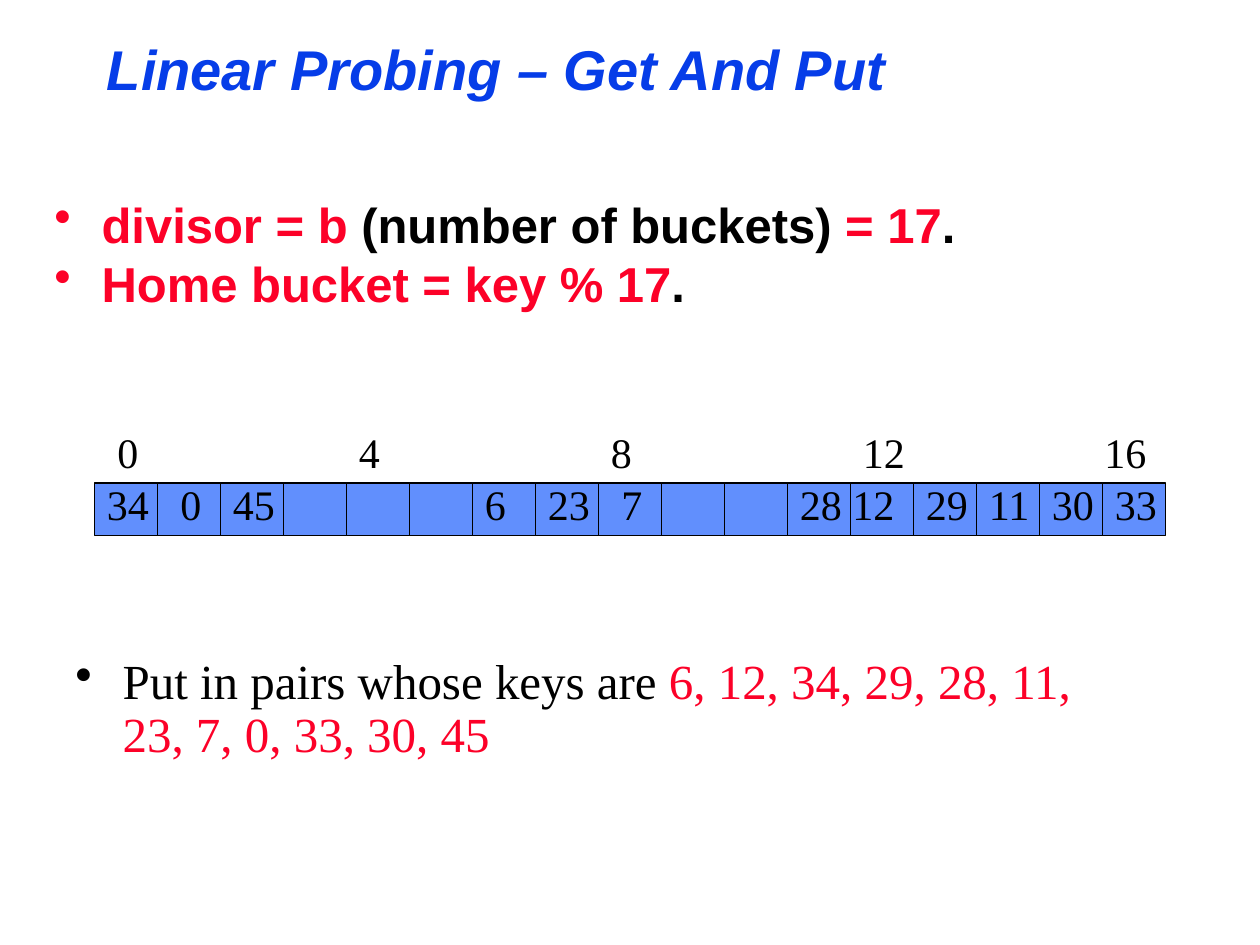
"""Build the linear probing slide: hash table buckets, indices and keys."""
from lxml import etree
from pptx import Presentation
from pptx.dml.color import RGBColor
from pptx.enum.shapes import MSO_SHAPE
from pptx.enum.text import MSO_ANCHOR, MSO_AUTO_SIZE
from pptx.oxml.ns import qn
from pptx.util import Pt

PX = 9525
BLACK = RGBColor(0x00, 0x00, 0x00)
RED = RGBColor(0xFC, 0x01, 0x28)
BLUE = RGBColor(0x06, 0x3D, 0xE8)
CELL_FILL = RGBColor(0x61, 0x8F, 0xFD)
RECT = MSO_SHAPE.RECTANGLE
TOP, MIDDLE = MSO_ANCHOR.TOP, MSO_ANCHOR.MIDDLE
NO_FIT, GROW = MSO_AUTO_SIZE.NONE, MSO_AUTO_SIZE.SHAPE_TO_FIT_TEXT


def add_text(shapes, box, paragraphs, font="Times New Roman", size=24, bold=False,
             italic=False, anchor=TOP, fit=NO_FIT, before=0, spacing=None, bullet=None):
    tf = shapes.add_textbox(*(v * PX for v in box)).text_frame
    tf.word_wrap = True
    tf.auto_size = fit
    tf.vertical_anchor = anchor
    for i, runs in enumerate(paragraphs):
        p = tf.add_paragraph() if i else tf.paragraphs[0]
        p.space_before = Pt(before)
        if spacing:
            p.line_spacing = spacing
        if bullet:
            pPr = p._p.get_or_add_pPr()
            pPr.set("marL", str(36 * PX))
            pPr.set("indent", str(-36 * PX))
            color = etree.SubElement(pPr, qn("a:buClr"))
            etree.SubElement(color, qn("a:srgbClr"), val=str(bullet))
            etree.SubElement(pPr, qn("a:buChar"), char="•")
        for text, rgb in runs:
            r = p.add_run()
            r.text = text
            r.font.name = font
            r.font.size = Pt(size)
            r.font.bold = bold
            r.font.italic = italic
            r.font.color.rgb = rgb


prs = Presentation()
prs.slide_width = 960 * PX
prs.slide_height = 720 * PX
s = prs.slides.add_slide(prs.slide_layouts[6])

add_text(s.shapes, (72, 16, 816, 72), [[("Linear Probing – Get And Put", BLUE)]],
         font="Arial", size=32, bold=True, italic=True, anchor=MIDDLE)
add_text(s.shapes, (32, 152, 816, 96),
         [[("divisor = b ", RED), ("(number of buckets)", BLACK), (" = 17", RED), (".", BLACK)],
          [("Home bucket = key % 17", RED), (".", BLACK)]],
         font="Arial", size=28, bold=True, before=7, spacing=0.8, bullet=RED)

LEFT, STEP = 72, 48
table = s.shapes.add_group_shape()
for bucket in range(17):
    sp = table.shapes.add_shape(RECT, (LEFT + STEP * bucket) * PX, 368 * PX, STEP * PX, 40 * PX)
    sp.shadow.inherit = False
    sp.fill.solid()
    sp.fill.fore_color.rgb = CELL_FILL
    sp.line.color.rgb = BLACK
    sp.line.width = Pt(1)

indices = [(0, 8, 48), (4, 0, 48), (8, 0, 48), (12, 0, 56), (16, -8, 56)]
for bucket, shift, width in indices:
    add_text(table.shapes, (LEFT + STEP * bucket + shift, 320, width, 48),
             [[(str(bucket), BLACK)]], fit=GROW, before=15)

add_text(s.shapes, (48, 496, 816, 96),
         [[("Put in pairs whose keys are ", BLACK),
           ("6, 12, 34, 29, 28, 11, 23, 7, 0, 33, 30, 45", RED)]],
         size=28, before=7, spacing=0.9, bullet=BLACK)

keys = [(6, 6, 0, 40), (12, 12, -8, 56), (13, 29, 0, 56), (0, 34, 0, 64),
        (11, 28, 0, 56), (14, 11, 0, 56), (7, 23, 0, 64), (8, 7, 8, 40),
        (1, 0, 8, 40), (16, 33, 0, 56), (15, 30, 0, 56), (2, 45, 0, 80)]
for bucket, key, shift, width in keys:
    add_text(s.shapes, (LEFT + STEP * bucket + shift, 360, width, 48),
             [[(str(key), BLACK)]], fit=GROW, before=15)

prs.save("out.pptx")
